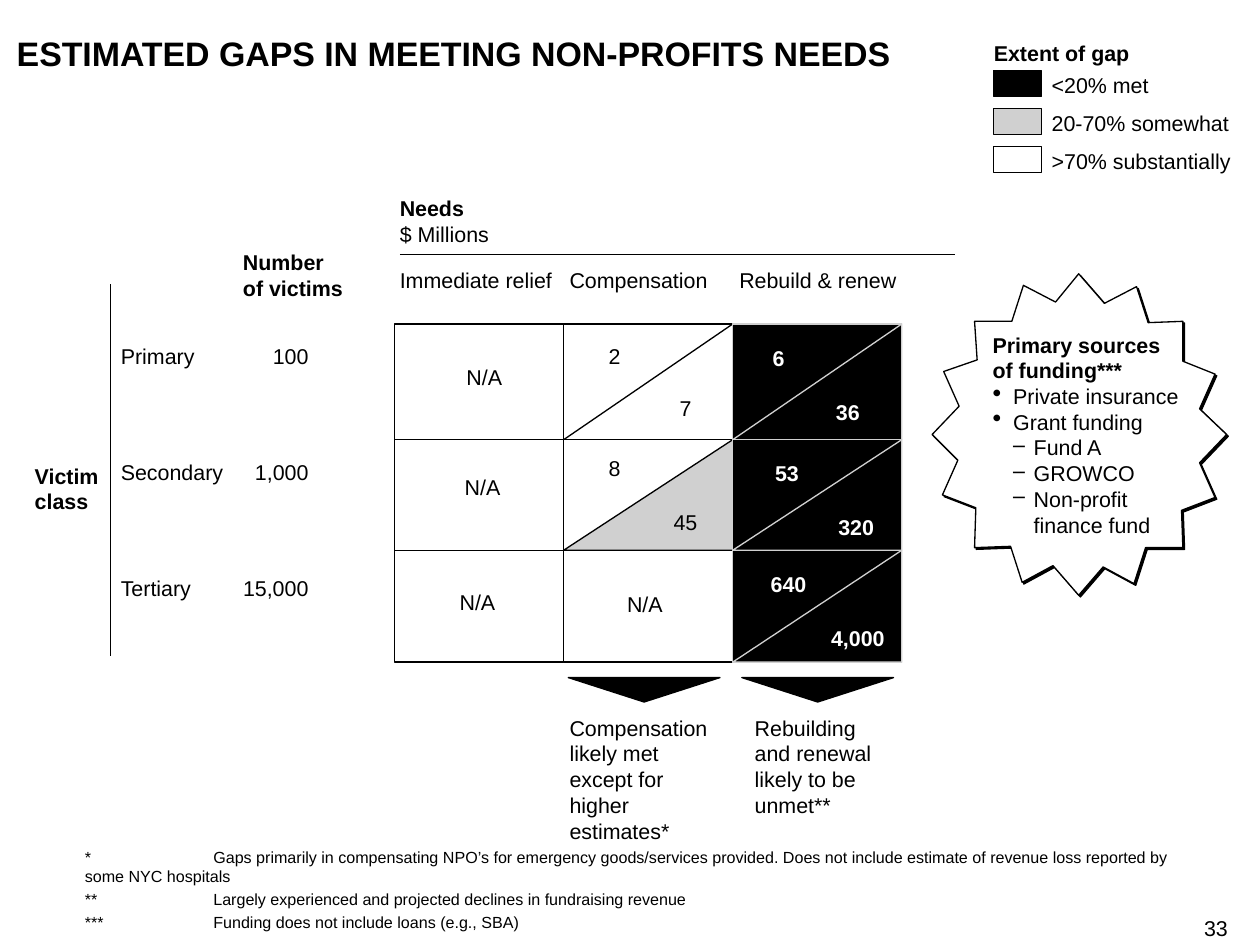
from lxml.etree import SubElement
from pptx import Presentation
from pptx.dml.color import RGBColor
from pptx.enum.shapes import MSO_CONNECTOR, MSO_SHAPE
from pptx.enum.text import MSO_ANCHOR, PP_ALIGN
from pptx.oxml.ns import qn
from pptx.util import Inches, Pt

BLACK, GREY, WHITE = "000000", "D0D0D0", "FFFFFF"
COLUMN_LEFT, COLUMN_WIDTH = 30.7, 13.15
ROW_EDGES = [25.2, 34.2, 42.8, 51.5]
LINE = 2

BURST = [
    (72.5, 33.8), (74.5, 35.8), (73.3, 38.5), (75.9, 39.5), (75.8, 42.6), (78.6, 42.5),
    (79.5, 45.3), (81.9, 44), (83.9, 46.3), (85.8, 44.1), (88.2, 45.4), (89.1, 42.6),
    (92, 42.6), (91.9, 39.7), (94.5, 38.7), (93.3, 36), (95.4, 33.8), (93.3, 31.8),
    (94.5, 29.1), (92, 28.1), (92, 25), (89.3, 25.1), (88.4, 22.3), (85.9, 23.6),
    (83.9, 21.3), (82.1, 23.5), (79.6, 22.2), (78.7, 25), (75.8, 25), (76, 28),
    (73.4, 28.9), (74.6, 31.6),
]

CELLS = [
    (0, 0, None, [("N/A", 0.53, 0.46)]),
    (0, 1, None, [("N/A", 0.52, 0.43)]),
    (0, 2, None, [("N/A", 0.49, 0.46)]),
    (1, 0, WHITE, [("2", 0.3, 0.28), ("7", 0.72, 0.73)]),
    (1, 1, GREY, [("8", 0.3, 0.26), ("45", 0.72, 0.74)]),
    (1, 2, None, [("N/A", 0.48, 0.48)]),
    (2, 0, BLACK, [("6", 0.27, 0.29), ("36", 0.68, 0.76)]),
    (2, 1, BLACK, [("53", 0.32, 0.3), ("320", 0.73, 0.79)]),
    (2, 2, BLACK, [("640", 0.33, 0.3), ("4,000", 0.74, 0.78)]),
]


def grid(*steps):
    return [Inches(step / 10) for step in steps]


def color(value):
    return RGBColor.from_string(value)


def prepare(frame, anchor=MSO_ANCHOR.TOP):
    frame.margin_left = frame.margin_top = frame.margin_right = frame.margin_bottom = 0
    frame.word_wrap = True
    frame.vertical_anchor = anchor


def write(box, text, size=12, bold=False, fill=BLACK, align=PP_ALIGN.LEFT,
          bullet=None, level=0, before=0, tab=None):
    frame = box.text_frame
    first = not frame.paragraphs[0].runs
    para = frame.paragraphs[0] if first else frame.add_paragraph()
    properties = para._p.get_or_add_pPr()
    if bullet:
        para.level = level
        properties.set("marL", str(Inches(0.16 * level)))
        properties.set("indent", str(-Inches(0.16)))
        if level == 1:
            SubElement(properties, qn("a:buSzPct")).set("val", "120000")
        SubElement(properties, qn("a:buChar")).set("char", bullet)
    if tab:
        stop = SubElement(SubElement(properties, qn("a:tabLst")), qn("a:tab"))
        stop.set("pos", str(Inches(tab)))
        stop.set("algn", "l")
    para.alignment = align
    para.line_spacing = Pt(size * 1.2)
    para.space_before = Pt(0 if first else before)
    span = para.add_run()
    span.text = text
    span.font.name = "Arial"
    span.font.size = Pt(size)
    span.font.bold = bold
    span.font.color.rgb = color(fill)


def label(page, place, *lines, anchor=MSO_ANCHOR.TOP, **style):
    box = page.shapes.add_textbox(*grid(*place))
    prepare(box.text_frame, anchor)
    for line in lines:
        write(box, line, **style)
    return box


def paint(shape, fill, outline=BLACK):
    shape.shadow.inherit = False
    shape.fill.solid()
    shape.fill.fore_color.rgb = color(fill)
    shape.line.color.rgb = color(outline)
    shape.line.width = Pt(0.75)


def block(page, kind, place, fill, outline=BLACK):
    shape = page.shapes.add_shape(kind, *grid(*place))
    paint(shape, fill, outline)
    return shape


def rule(page, *ends):
    line = page.shapes.add_connector(MSO_CONNECTOR.STRAIGHT, *grid(*ends))
    line.line.color.rgb = color(BLACK)
    line.line.width = Pt(0.75)
    SubElement(line._element.spPr, qn("a:effectLst"))


def cell(page, column, row, lower_fill, values):
    left, top = COLUMN_LEFT + column * COLUMN_WIDTH, ROW_EDGES[row]
    height = ROW_EDGES[row + 1] - top
    place = left, top, COLUMN_WIDTH, height
    dark = column == 2
    fill, outline = (BLACK, GREY) if dark else (WHITE, BLACK)
    block(page, MSO_SHAPE.RECTANGLE, place, fill, outline)
    if lower_fill:
        lower = block(page, MSO_SHAPE.RIGHT_TRIANGLE, place, lower_fill, outline)
        lower._element.spPr.find(qn("a:xfrm")).set("flipH", "1")
    for text, across, down in values:
        spot = left + across * COLUMN_WIDTH - 3.3, top + down * height - LINE / 2, 6.6, LINE
        label(page, spot, text, bold=dark, fill=WHITE if dark else BLACK,
              align=PP_ALIGN.CENTER)


def legend(page):
    label(page, (77.3, 3.1, 18.5, LINE), "Extent of gap", bold=True)
    entries = [("<20% met", BLACK), ("20-70% somewhat", GREY), (">70% substantially", WHITE)]
    for index, (text, fill) in enumerate(entries):
        top = 5.5 + 2.95 * index
        block(page, MSO_SHAPE.RECTANGLE, (77.3, top, 3.7, LINE), fill)
        label(page, (81.8, top + 0.1, 15, LINE), text)


def victims(page):
    label(page, (2.7, 36, 5.5, 2 * LINE), "Victim", "class", bold=True)
    label(page, (18.9, 19.4, 9.7, 2 * LINE), "Number", "of victims", bold=True)
    rule(page, 8.6, 22.1, 8.6, 51)
    rows = [("Primary", "100"), ("Secondary", "1,000"), ("Tertiary", "15,000")]
    for index, (name, count) in enumerate(rows):
        top = 26.7 + 9 * index
        label(page, (9.4, top, 9.3, LINE), name)
        label(page, (18, top, 6, LINE), count, align=PP_ALIGN.RIGHT)


def needs(page):
    heading = label(page, (31.1, 15.2, 11.7, 2 * LINE), "Needs", bold=True)
    write(heading, "$ Millions")
    rule(page, 31.1, 19.8, 74.3, 19.8)
    names = ["Immediate relief", "Compensation", "Rebuild & renew"]
    for index, name in enumerate(names):
        label(page, (31.1 + 13.2 * index, 20.8, 13.5, LINE), name)
    for entry in CELLS:
        cell(page, *entry)


def conclusions(page):
    for left in (44.2, 57.7):
        arrow = block(page, MSO_SHAPE.DOWN_ARROW, (left, 52.7, 11.8, 1.9), BLACK)
        arrow.adjustments[0], arrow.adjustments[1] = 0.69, 1
    label(page, (44.3, 55.6, 11.6, 5 * LINE),
          "Compensation likely met except for higher estimates*")
    label(page, (58.7, 55.6, 9.8, 4 * LINE),
          "Rebuilding and renewal likely to be unmet**")


def funding(page):
    points = [tuple(grid(*point)) for point in BURST]
    builder = page.shapes.build_freeform(*points[0], scale=1.0)
    builder.add_line_segments(points[1:], close=True)
    burst = builder.convert_to_shape()
    paint(burst, WHITE)
    effects = burst._element.spPr.find(qn("a:effectLst"))
    shadow = SubElement(effects, qn("a:outerShdw"), dist=str(Pt(1.4)), dir="2700000",
                        algn="ctr", rotWithShape="0")
    SubElement(shadow, qn("a:srgbClr")).set("val", BLACK)
    box = label(page, (77.2, 25.8, 14.8, 8 * LINE), "Primary sources", "of funding***", bold=True)
    for source in ("Private insurance", "Grant funding"):
        write(box, source, bullet="•", level=1)
    for fund in ("Fund A", "GROWCO", "Non-profit finance fund"):
        write(box, fund, bullet="–", level=2)


def main():
    deck = Presentation()
    deck.slide_width, deck.slide_height = grid(98, 73.5)
    page = deck.slides.add_slide(deck.slide_layouts[5])
    title = page.shapes.title
    title.left, title.top, title.width, title.height = grid(1.3, 2.5, 74, 3.2)
    prepare(title.text_frame)
    write(title, "ESTIMATED GAPS IN MEETING NON-PROFITS NEEDS", size=19, bold=True)
    legend(page)
    victims(page)
    needs(page)
    conclusions(page)
    funding(page)
    label(page, (6.6, 65.8, 87, 6.7),
          "*\tGaps primarily in compensating NPO’s for emergency goods/services provided. "
          "Does not include estimate of revenue loss reported by some NYC hospitals",
          "**\tLargely experienced and projected declines in fundraising revenue",
          "***\tFunding does not include loans (e.g., SBA)",
          size=9, before=2.2, tab=1, anchor=MSO_ANCHOR.BOTTOM)
    label(page, (92.5, 71.2, 3, LINE), "33", align=PP_ALIGN.RIGHT)
    deck.save("out.pptx")


if __name__ == "__main__":
    main()
